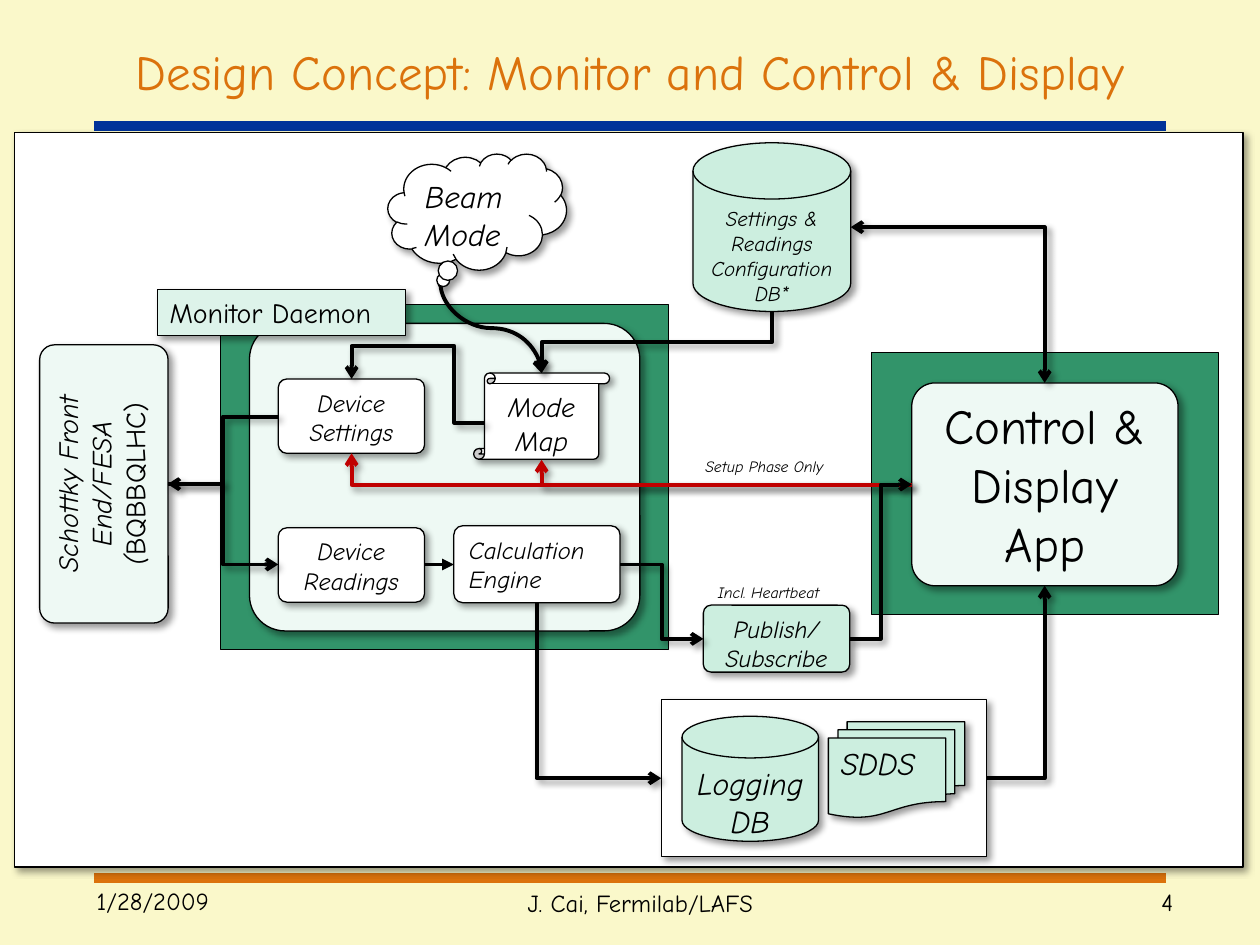
from lxml.etree import SubElement
from pptx import Presentation
from pptx.dml.color import RGBColor
from pptx.enum.shapes import MSO_CONNECTOR, MSO_SHAPE
from pptx.enum.text import MSO_ANCHOR, PP_ALIGN
from pptx.oxml.ns import qn
from pptx.util import Cm, Pt

HUES = {
    "cream": "FAF8CA", "orange": "DB720C", "blue": "003399",
    "white": "FFFFFF", "black": "000000", "red": "C00000",
    "green": "32946A", "mint": "CCEEDF", "pale": "EEF9F4", "label": "DDF3EA",
}
LEFT, MID, RIGHT = PP_ALIGN.LEFT, PP_ALIGN.CENTER, PP_ALIGN.RIGHT
RECT, ROUND = MSO_SHAPE.RECTANGLE, MSO_SHAPE.ROUNDED_RECTANGLE
DISK = MSO_SHAPE.FLOWCHART_MAGNETIC_DISK


def hue(name):
    return RGBColor.from_string(HUES[name])


class Board:
    font = "Comic Neue"
    edge = 0.75
    wire = 2.25
    bend = 0.116

    def __init__(self, slide):
        self.slide = slide
        fill = slide.background.fill
        fill.solid()
        fill.fore_color.rgb = hue("cream")

    def shade(self, effects):
        drop = SubElement(effects, qn("a:outerShdw"), blurRad=str(Pt(4)),
                          dist=str(Pt(3)), dir=str(45 * 60000),
                          algn="tl", rotWithShape="0")
        color = SubElement(drop, qn("a:srgbClr"), val=HUES["black"])
        SubElement(color, qn("a:alpha"), val="40000")

    def label(self, shape, text, size, align=MID, slant=True, color="black",
              wrap=True, anchor=MSO_ANCHOR.TOP, plain=""):
        frame = shape.text_frame
        frame.word_wrap = wrap
        frame.vertical_anchor = anchor
        frame.text = text
        para = frame.paragraphs[0]
        para.alignment = align
        if plain:
            para.add_run().text = plain
        for run in para.runs:
            run.font.name = self.font
            run.font.size = Pt(size)
            run.font.italic = slant and run.text != plain
            run.font.color.rgb = hue(color)

    def note(self, box, text, size, **style):
        shape = self.slide.shapes.add_textbox(*map(Cm, box))
        self.label(shape, text, size, **style)

    def block(self, kind, box, fill, text="", size=14, shadow=True,
              adjust=(), turn=0, **style):
        shape = self.slide.shapes.add_shape(kind, *map(Cm, box))
        shape.rotation = turn
        shape.fill.solid()
        shape.fill.fore_color.rgb = hue(fill)
        shape.line.color.rgb = hue("black")
        shape.line.width = Pt(self.edge)
        shape.shadow.inherit = False
        if shadow:
            self.shade(shape._element.spPr.find(qn("a:effectLst")))
        if kind == ROUND:
            adjust = (self.bend,)
        for spot, value in enumerate(adjust):
            shape.adjustments[spot] = value
        if text:
            self.label(shape, text, size, **style)

    def line(self, kind, start, end, color="black", width=None, head=None,
             tail=None, shadow=True, shape=None, adjust=(), down=False):
        (x1, y1), (x2, y2) = start, end
        if down:
            cx, cy = (x1 + x2) / 2, (y1 + y2) / 2
            dx, dy = (x2 - x1) / 2, (y2 - y1) / 2
            x1, y1, x2, y2 = cx - dy, cy + dx, cx + dy, cy - dx
        link = self.slide.shapes.add_connector(
            kind, Cm(x1), Cm(y1), Cm(x2), Cm(y2))
        link.line.color.rgb = hue(color)
        link.line.width = Pt(width or self.wire)
        props = link._element.spPr
        if down:
            props.find(qn("a:xfrm")).set("rot", str(90 * 60000))
        geom = props.find(qn("a:prstGeom"))
        if shape:
            geom.set("prst", shape)
        for spot, value in enumerate(adjust, 1):
            SubElement(geom.find(qn("a:avLst")), qn("a:gd"),
                       name=f"adj{spot}", fmla=f"val {round(value * 100000)}")
        stroke = props.find(qn("a:ln"))
        for tag, mark in (("a:headEnd", head), ("a:tailEnd", tail)):
            if mark:
                SubElement(stroke, qn(tag), type=mark)
        effects = SubElement(props, qn("a:effectLst"))
        if shadow:
            self.shade(effects)

    def bar(self, y, color):
        self.line(MSO_CONNECTOR.STRAIGHT, (1.9, y), (23.5, y), color,
                  width=6, shadow=False)

    def step(self, start, end, tail="arrow", **style):
        self.line(MSO_CONNECTOR.ELBOW, start, end, tail=tail, **style)

    def turn(self, start, end, **style):
        self.step(start, end, shape="bentConnector2", **style)

    def curve(self, start, end, **style):
        self.line(MSO_CONNECTOR.CURVE, start, end, **style)


def main():
    deck = Presentation()
    deck.slide_width, deck.slide_height = Cm(25.4), Cm(19.05)
    board = Board(deck.slides.add_slide(deck.slide_layouts[6]))

    front, app = (3.38, 9.76), (18.38, 9.77)
    map_top, set_top = (10.92, 7.52), (7.09, 7.64)
    app_top, app_foot = (21.06, 7.72), (21.06, 11.81)

    board.bar(17.7, "orange")
    board.bar(2.54, "blue")
    board.block(RECT, (0.3, 2.67, 24.76, 14.81), "white")
    board.block(RECT, (17.57, 7.11, 6.99, 5.28), "green", shadow=False)
    board.block(RECT, (13.33, 14.1, 6.56, 3.17), "white")
    board.note((1.27, 0.76, 22.86, 1.35),
               "Design Concept: Monitor and Control & Display", 28,
               slant=False, color="orange", anchor=MSO_ANCHOR.MIDDLE)
    for box, text, align in (
        ((1.7, 17.73, 3.81, 1.32), "1/28/2009", LEFT),
        ((21.2, 17.75, 2.7, 1.07), "4", RIGHT),
        ((5.29, 17.78, 15.24, 1.27), "J. Cai, Fermilab/LAFS", MID),
    ):
        board.note(box, text, 14, align=align, slant=False)

    board.block(RECT, (4.44, 6.14, 9.04, 6.95), "green", shadow=False)
    board.block(ROUND, (5.03, 6.52, 7.87, 6.2), "pale")
    board.block(ROUND, (18.38, 7.72, 5.37, 4.09), "pale",
                "Control & Display App", 28, slant=False)
    board.block(ROUND, (-0.71, 8.46, 5.61, 2.59), "pale",
                "Schottky Front End/FESA (", 16, turn=270, plain="BQBBQLHC)")
    for y, text in ((7.64, "Device Settings"), (10.64, "Device Readings")):
        board.block(ROUND, (5.61, y, 2.95, 1.5), "white", text)
    board.block(ROUND, (9.15, 10.6, 3.35, 1.55), "white",
                "Calculation Engine", align=LEFT)
    board.block(DISK, (13.97, 2.88, 3.18, 3.4), "mint",
                "Settings & Readings Configuration DB*", 12)
    board.block(ROUND, (14.18, 12.2, 2.95, 1.35), "mint", "Publish/ Subscribe")
    board.block(DISK, (13.75, 14.44, 2.75, 2.52), "mint", "Logging DB", 18)
    board.block(MSO_SHAPE.VERTICAL_SCROLL, (9.55, 7.52, 2.74, 1.74), "white",
                "Mode\vMap", 16)

    board.step((9.75, 8.52), set_top, shape="bentConnector4",
               adjust=(0.222, 1.755))
    board.step((15.56, 6.28), map_top, down=True)
    board.step((5.61, 8.4), front)
    board.step(front, (5.61, 11.38))
    board.turn((17.15, 4.58), app_top, head="arrow")
    for end in ((10.92, 9.27), (7.09, 9.14)):
        board.turn(app, end, color="red")
    board.block(MSO_SHAPE.FLOWCHART_MULTIDOCUMENT, (16.7, 14.55, 2.75, 1.93),
                "mint", "SDDS", 18, align=LEFT)
    board.turn((13.33, 15.69), (10.82, 12.15), head="arrow", tail=None)
    board.curve((8.88, 5.71), map_top, tail="arrow", down=True)
    board.block(MSO_SHAPE.CLOUD_CALLOUT, (7.82, 3.1, 3.6, 2.34), "white",
                "Beam Mode", 18, align=LEFT, adjust=(-0.2, 0.62))
    board.block(RECT, (3.17, 5.84, 5, 0.93), "label", "Monitor Daemon", 16,
                align=LEFT, slant=False, wrap=False)
    board.step((12.5, 11.38), (14.18, 12.88))
    board.step((17.13, 12.88), app)
    board.turn((19.89, 15.69), app_foot)
    board.curve((8.56, 11.38), (9.15, 11.38), tail="triangle", shadow=False)
    board.note((14.22, 11.63, 2.87, 0.64), "Incl. Heartbeat", 9,
               align=LEFT, wrap=False)
    board.note((13.97, 9.09, 3.12, 0.64), "Setup Phase Only", 9,
               align=LEFT, wrap=False)
    deck.save("out.pptx")


if __name__ == "__main__":
    main()
